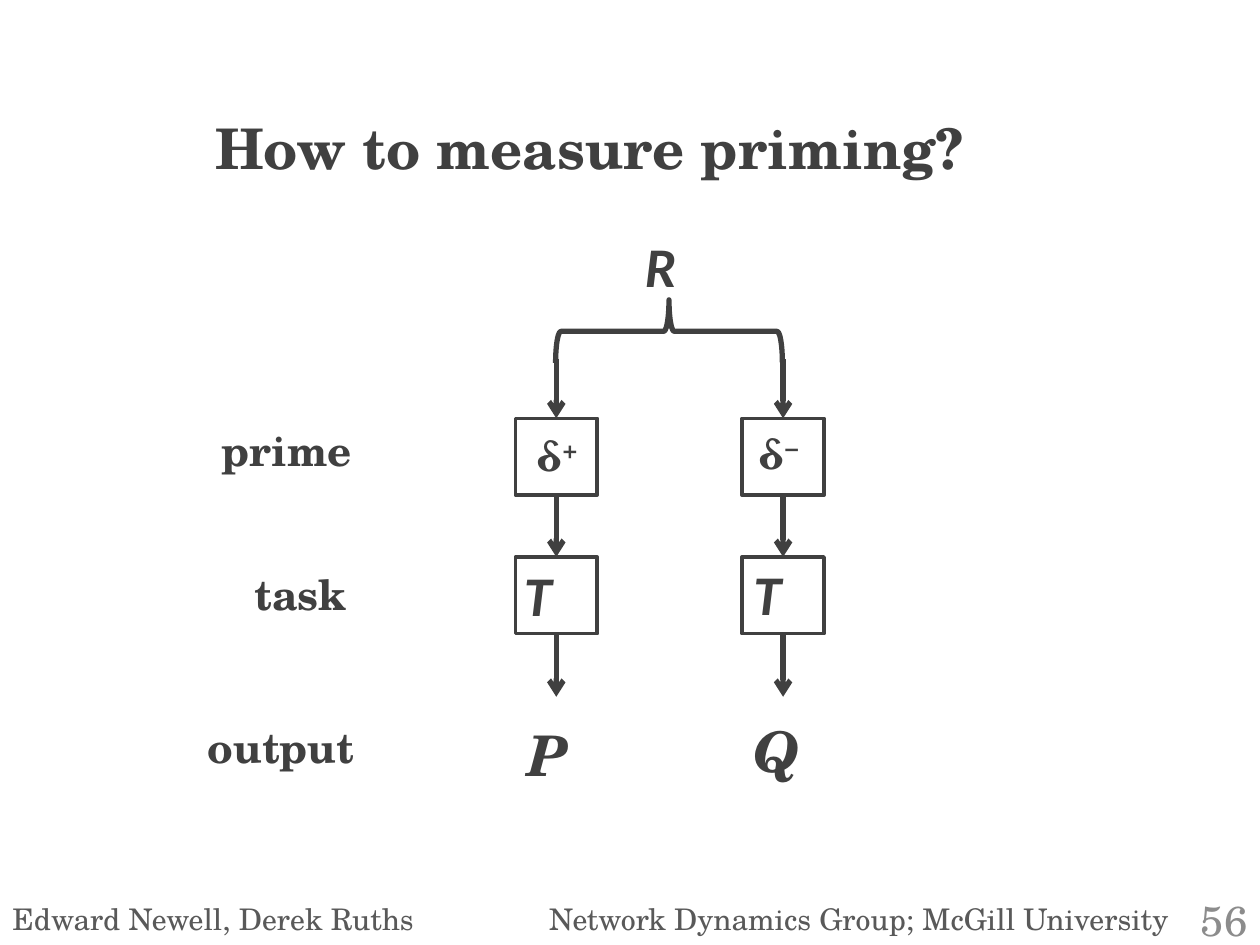
from dataclasses import dataclass

from pptx import Presentation, dml, oxml, slide as sl, util as u
from pptx.dml import color
from pptx.enum import shapes, text
from pptx.oxml import ns

DARK = color.RGBColor(0x40, 0x40, 0x40)
GREY = color.RGBColor(0x59, 0x59, 0x59)
PALE = color.RGBColor(0x8C, 0x8C, 0x8C)
SERIF = "TeX Gyre Schola"
SANS = "Calibri"

BOX_W, BOX_H = 0.65, 0.61
COLS = (4.09, 5.89)
PRIME_Y, TASK_Y = 3.32, 4.42
STEM_Y, END_Y = 2.85, 5.53


@dataclass
class Label:
    words: str
    x: float
    y: float
    w: float
    h: float
    size: int = 24
    face: str = SERIF
    ink: color.RGBColor = DARK
    bold: bool = True
    slant: bool = False
    sup: str = ""
    right: bool = False
    tab: float = 0


LABELS = (
    Label("Edward Newell, Derek Ruths\tNetwork Dynamics Group; McGill University",
          0, 7.1, 9.55, 0.39, 17, ink=GREY, bold=False, tab=4.26),
    Label("56", 9.29, 7.1, 0.71, 0.4, ink=PALE, bold=False, right=True),
    Label("How to measure priming?", 1.61, 0.85, 7.17, 0.64, 32),
    Label("R", 5.02, 1.79, 0.65, 0.64, 32, SANS, slant=True),
    Label("δ", 4.16, 3.36, 0.71, 0.5, sup="+"),
    Label("δ", 5.92, 3.34, 0.69, 0.5, sup="−"),
    Label("T", 4.06, 4.4, 0.65, 0.64, 32, SANS, slant=True),
    Label("T", 5.88, 4.39, 0.65, 0.64, 32, SANS, slant=True),
    Label("P", 4.09, 5.67, 0.65, 0.64, 32, slant=True),
    Label("Q", 5.88, 5.64, 0.65, 0.64, 32, slant=True),
    Label("prime", 1.66, 3.32, 2.13, 0.5),
    Label("task", 1.92, 4.46, 2.13, 0.5),
    Label("output", 1.55, 5.68, 2.13, 0.5),
)


def add_run(para, words: str, item: Label):
    run = para.add_run()
    run.text = words
    font = run.font
    font.name, font.size = item.face, u.Pt(item.size)
    font.bold, font.italic = item.bold, item.slant
    font.color.rgb = item.ink
    return run


def add_label(page: sl.Slide, item: Label) -> None:
    box = page.shapes.add_textbox(*map(u.Inches, (item.x, item.y, item.w, item.h)))
    frame = box.text_frame
    frame.word_wrap = True
    para = frame.paragraphs[0]
    if item.right:
        para.alignment = text.PP_ALIGN.RIGHT
        frame.vertical_anchor = text.MSO_ANCHOR.MIDDLE
    if item.tab:
        stops = oxml.parse_xml(
            f'<a:tabLst {ns.nsdecls("a")}>'
            f'<a:tab pos="{u.Inches(item.tab)}" algn="l"/></a:tabLst>')
        para._p.get_or_add_pPr().append(stops)
    add_run(para, item.words, item)
    if item.sup:
        run = add_run(para, item.sup, item)
        run._r.get_or_add_rPr().set("baseline", "30000")


def add_form(page: sl.Slide, kind: shapes.MSO_SHAPE, x: float, y: float,
             w: float, h: float, width: float):
    form = page.shapes.add_shape(kind, *map(u.Inches, (x, y, w, h)))
    form.shadow.inherit = False
    form.fill.background()
    form.line.color.rgb = DARK
    form.line.width = u.Pt(width)
    return form


def add_arrow(page: sl.Slide, x: float, top: float, end: float,
              above=None, below=None) -> None:
    line = page.shapes.add_connector(
        shapes.MSO_CONNECTOR.STRAIGHT, *map(u.Inches, (x, top, x, end)))
    line.line.color.rgb = DARK
    line.line.width = u.Pt(3)
    if above is not None:
        line.begin_connect(above, 2)
    if below is not None:
        line.end_connect(below, 0)
    head = oxml.parse_xml(f'<a:tailEnd {ns.nsdecls("a")} type="arrow"/>')
    line.line._get_or_add_ln().append(head)
    line._element.spPr.append(
        oxml.parse_xml(f'<a:effectLst {ns.nsdecls("a")}/>'))


def add_chain(page: sl.Slide, x: float) -> None:
    prime, task = (
        add_form(page, shapes.MSO_SHAPE.RECTANGLE, x, y, BOX_W, BOX_H, 2)
        for y in (PRIME_Y, TASK_Y))
    mid = x + BOX_W / 2
    add_arrow(page, mid, STEM_Y, PRIME_Y, below=prime)
    add_arrow(page, mid, PRIME_Y + BOX_H, TASK_Y, prime, task)
    add_arrow(page, mid, TASK_Y + BOX_H, END_Y, above=task)


def main() -> None:
    deck = Presentation()
    deck.slide_width, deck.slide_height = u.Inches(10), u.Inches(7.5)
    page = deck.slides.add_slide(deck.slide_layouts[6])
    brace = add_form(page, shapes.MSO_SHAPE.RIGHT_BRACE, 5.06, 1.73, 0.5, 1.8, 3)
    brace.rotation = 270
    for x in COLS:
        add_chain(page, x)
    for item in LABELS:
        add_label(page, item)
    deck.save("out.pptx")


if __name__ == "__main__":
    main()
